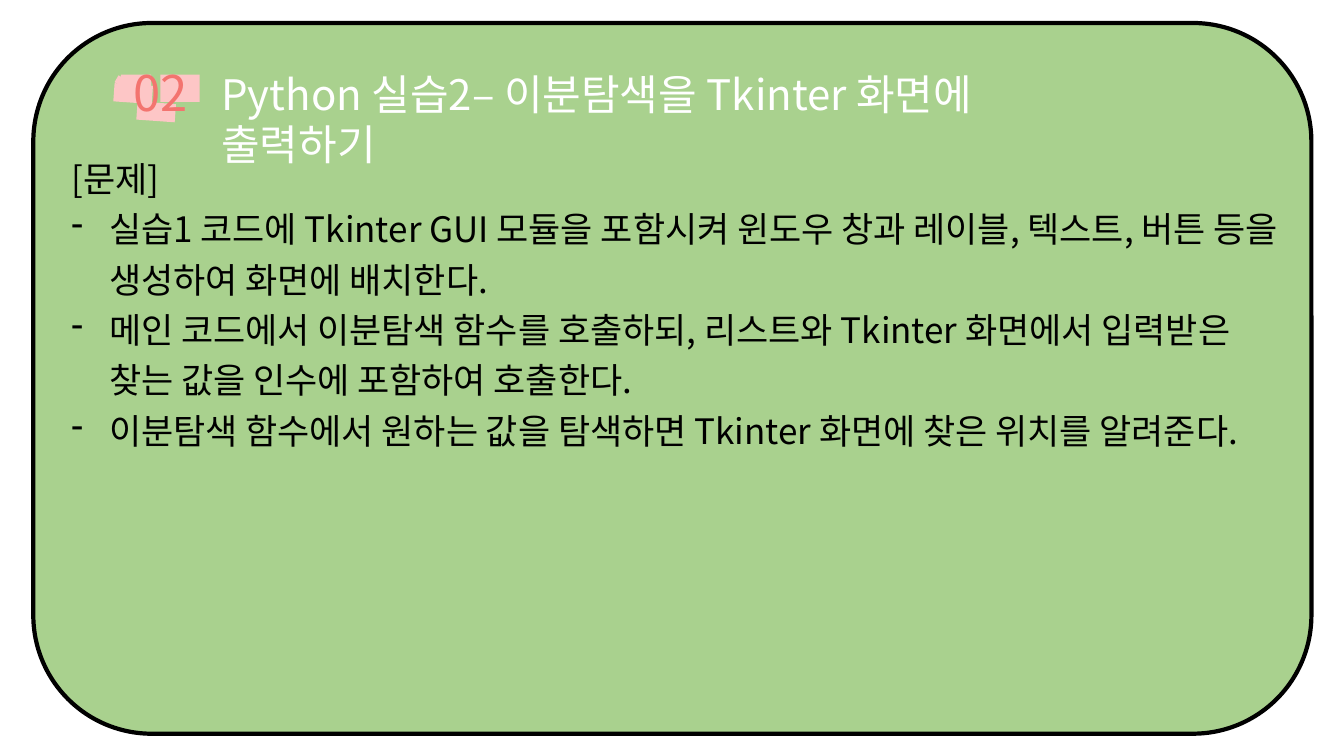
from lxml import etree
from pptx import Presentation
from pptx.dml.color import RGBColor
from pptx.enum import shapes, text
from pptx.oxml import ns
from pptx.util import Cm, Pt

BLACK = RGBColor(0x00, 0x00, 0x00)
WHITE = RGBColor(0xFF, 0xFF, 0xFF)
GREEN = RGBColor(0xA9, 0xD1, 0x8E)
PINK = RGBColor(0xFD, 0xC6, 0xC6)
CORAL = RGBColor(0xF3, 0x74, 0x6F)
FONT = "Noto Sans CJK KR"
HEADING = "Python 실습2– 이분탐색을 Tkinter 화면에 출력하기"
PROBLEM = "[문제]"
TASKS = [
    "실습1 코드에 Tkinter GUI 모듈을 포함시켜 윈도우 창과 레이블, 텍스트, 버튼 등을 생성하여 화면에 배치한다.",
    "메인 코드에서 이분탐색 함수를 호출하되, 리스트와 Tkinter 화면에서 입력받은 찾는 값을 인수에 포함하여 호출한다.",
    "이분탐색 함수에서 원하는 값을 탐색하면 Tkinter 화면에 찾은 위치를 알려준다.",
]
BRUSH_STROKES = [
    (1.17, 0.43, 0.99, 0.69, 0),
    (0.18, 0.43, 0.76, 0.69, 0),
    (0.58, 1.14, 0.97, 0.46, 4.1),
    (0, 0.68, 0.97, 0.46, 4.1),
    (0, 0.68, 0.97, 0.2, 30.3),
]


def add_panel(parent, kind, box, color):
    """Add a filled shape without outline or shadow."""
    panel = parent.add_shape(kind, *map(Cm, box))
    panel.shadow.inherit = False
    panel.fill.solid()
    panel.fill.fore_color.rgb = color
    panel.line.fill.background()
    return panel


def add_words(parent, box, lines, size, color):
    """Add a wrapping text box and return its paragraphs."""
    frame = parent.add_textbox(*map(Cm, box)).text_frame
    frame.text = "\n".join(lines)
    frame.word_wrap = True
    frame.auto_size = text.MSO_AUTO_SIZE.SHAPE_TO_FIT_TEXT
    for paragraph in frame.paragraphs:
        for run in paragraph.runs:
            run.font.name = FONT
            run.font.size = Pt(size)
            run.font.color.rgb = color
            east_asian = etree.SubElement(run.font._element, ns.qn("a:ea"))
            east_asian.set("typeface", FONT)
    return frame.paragraphs


def add_card(slide, box):
    """Draw the outlined green card."""
    card = add_panel(slide.shapes, shapes.MSO_SHAPE.ROUNDED_RECTANGLE, box, GREEN)
    card.line.color.rgb = BLACK
    card.line.width = Pt(3)


def add_header(slide, box):
    """Draw the brushed section number and the heading beside it."""
    left, top, width, height = box
    header = slide.shapes.add_group_shape().shapes
    for x, y, w, h, angle in BRUSH_STROKES:
        stroke = add_panel(header, shapes.MSO_SHAPE.RECTANGLE, (left + x, top + y, w, h), PINK)
        stroke.rotation = angle
    add_words(header, (left + 0.25, top, 4.8, height), ["02"], 35, CORAL)
    add_words(header, (left + 2.46, top + 0.15, width - 2.46, 1.55), [HEADING], 30, WHITE)


def add_problem(slide, box):
    """Write the problem label and its dashed tasks."""
    label, *tasks = add_words(slide.shapes, box, [PROBLEM, *TASKS], 25, BLACK)
    label.line_spacing = 1.2
    for task in tasks:
        task.line_spacing = 1.2
        properties = task._p.get_or_add_pPr()
        properties.set("marL", str(Cm(0.95)))
        properties.set("indent", str(-Cm(0.95)))
        etree.SubElement(properties, ns.qn("a:buFontTx"))
        etree.SubElement(properties, ns.qn("a:buChar")).set("char", "-")


def main():
    """Build and save the slide."""
    deck = Presentation()
    deck.slide_width, deck.slide_height = Cm(33.87), Cm(19.05)
    slide = deck.slides.add_slide(deck.slide_layouts[6])
    add_card(slide, (0.84, 0.58, 32.21, 17.91))
    add_header(slide, (2.87, 1.45, 25.78, 1.75))
    add_problem(slide, (1.55, 3.63, 30.91, 7.95))
    deck.save("out.pptx")


if __name__ == "__main__":
    main()
